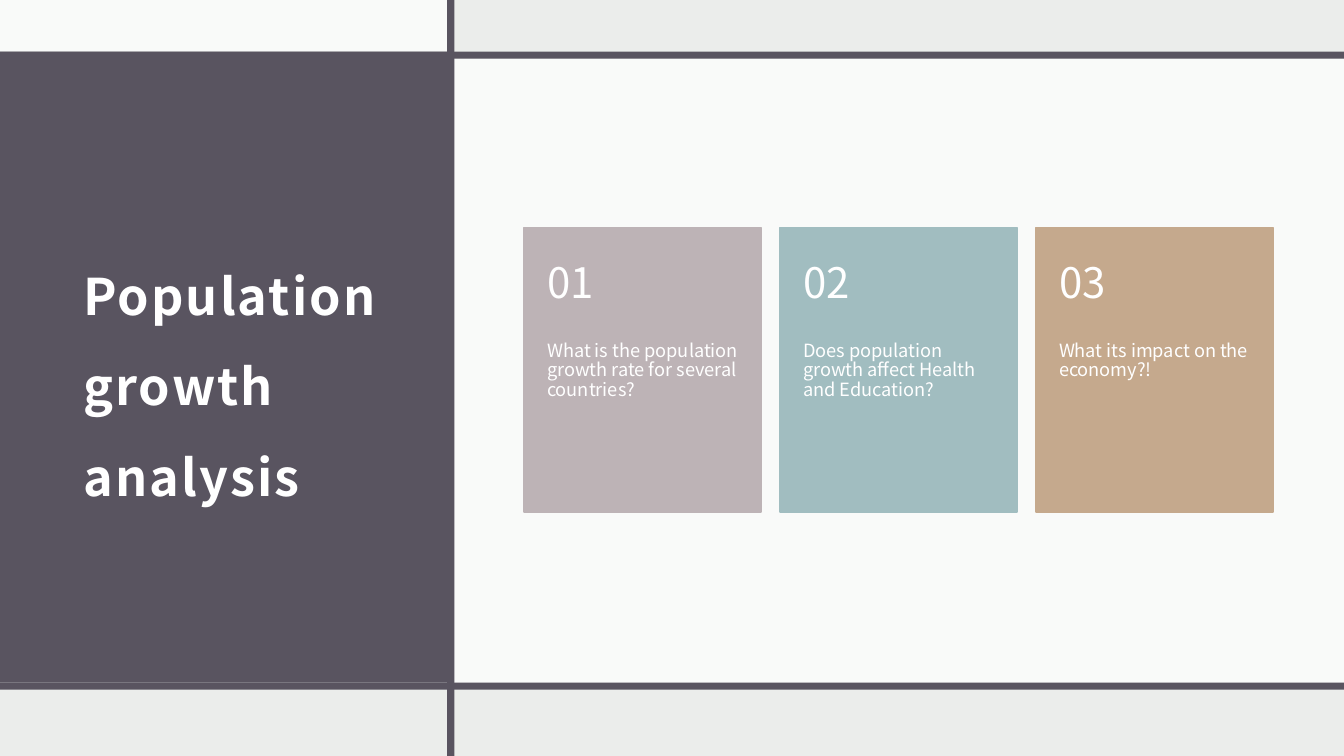
"""Build the population growth analysis agenda slide."""
from dataclasses import dataclass

from lxml import etree
from pptx import Presentation
from pptx.dml.color import RGBColor
from pptx.enum.shapes import MSO_SHAPE
from pptx.enum.text import MSO_ANCHOR, MSO_AUTO_SIZE, PP_ALIGN
from pptx.oxml.ns import qn
from pptx.util import Cm, Pt

RECTANGLE = MSO_SHAPE.RECTANGLE
TOP, MIDDLE = MSO_ANCHOR.TOP, MSO_ANCHOR.MIDDLE
LEFT = PP_ALIGN.LEFT
NO_AUTOFIT = MSO_AUTO_SIZE.NONE

TITLE = "Population growth analysis"
CARDS = [
    ("01", "What is the population growth rate for several countries?", "BDB3B6"),
    ("02", "Does population growth affect Health and Education?", "A1BDC0"),
    ("03", "What its impact on the economy?!", "C5A98D"),
]


@dataclass(frozen=True)
class Theme:
    """Colours, font and type sizes."""
    background: str = "EBEDEB"
    dark: str = "595460"
    white: str = "FFFFFF"
    font: str = "Noto Sans CJK JP"
    title_size: int = 36
    number_size: int = 30
    body_size: int = 13


THEME = Theme()
WIDTH, HEIGHT = 33.87, 19.05
BAR = 0.18
BAR_LEFT, BAR_TOP, BAR_BOTTOM = 11.27, 1.3, 17.2
TITLE_BOX = (1.8, 3.33, 8.66, 11.96)
TITLE_INSETS = (0.3, 0.3, 0.3, 0.25)
CARD_LEFT, CARD_TOP, CARD_WIDTH, CARD_HEIGHT = 13.21, 5.74, 5.97, 7.16
CARD_STEP = 6.45
NUMBER_HEIGHT = CARD_HEIGHT * 0.4
NUMBER_INSETS = (0.58, 0.46, 0.58, 0.46)
BODY_INSETS = (0.58, 0, 0.58, 0.91)


def add_block(shapes, area, color, opacity=100, outlined=False):
    """Add a flat rectangle, optionally translucent or outlined."""
    block = shapes.add_shape(RECTANGLE, *map(Cm, area))
    block.shadow.inherit = False
    block.fill.solid()
    block.fill.fore_color.rgb = RGBColor.from_string(color)
    if outlined:
        block.line.color.rgb = RGBColor.from_string(color)
        block.line.width = Pt(1)
    else:
        block.line.fill.background()
    if opacity < 100:
        fill_color = block.element.spPr.find(qn("a:solidFill"))[0]
        etree.SubElement(fill_color, qn("a:alpha")).set("val", str(opacity * 1000))


def write_text(box, text, size, insets, anchor, spacing, bold=False):
    """Fill a box with one formatted paragraph and return its run."""
    frame = box.text_frame
    frame.text = text
    frame.word_wrap = True
    frame.auto_size = NO_AUTOFIT
    frame.vertical_anchor = anchor
    frame.margin_left, frame.margin_top, frame.margin_right, frame.margin_bottom = map(Cm, insets)
    para = frame.paragraphs[0]
    para.alignment = LEFT
    para.line_spacing = spacing
    span = para.runs[0]
    span.font.name = THEME.font
    span.font.size = Pt(size)
    span.font.bold = bold
    span.font.color.rgb = RGBColor.from_string(THEME.white)
    return span


def add_frame(shapes):
    """Add the title panel, the pale areas and the dark bars."""
    right = BAR_LEFT + BAR
    under_bar = BAR_TOP + BAR
    add_block(shapes, (0, BAR_TOP, BAR_LEFT, BAR_BOTTOM - BAR_TOP), THEME.dark)
    add_block(shapes, (0, 0, BAR_LEFT, BAR_TOP), THEME.white, 75)
    add_block(shapes, (right, under_bar, WIDTH - right, BAR_BOTTOM - under_bar), THEME.white, 75)
    for top in (BAR_BOTTOM, BAR_TOP):
        add_block(shapes, (0, top, WIDTH, BAR), THEME.dark)
    add_block(shapes, (BAR_LEFT, 0, BAR, HEIGHT), THEME.dark)


def add_title(slide):
    """Place the title placeholder in front of its panel."""
    title = slide.shapes.title
    title.left, title.top, title.width, title.height = map(Cm, TITLE_BOX)
    span = write_text(title, TITLE, THEME.title_size, TITLE_INSETS, MIDDLE, 1.5, bold=True)
    span.font._element.set("spc", "150")
    title.element.getparent().append(title.element)


def add_cards(slide):
    """Add the numbered question cards as one group."""
    shapes = slide.shapes.add_group_shape().shapes
    for index, (number, question, color) in enumerate(CARDS):
        left = CARD_LEFT + index * CARD_STEP
        add_block(shapes, (left, CARD_TOP, CARD_WIDTH, CARD_HEIGHT), color, outlined=True)
        body_area = (left, CARD_TOP + NUMBER_HEIGHT, CARD_WIDTH, CARD_HEIGHT - NUMBER_HEIGHT)
        body = shapes.add_textbox(*map(Cm, body_area))
        write_text(body, question, THEME.body_size, BODY_INSETS, TOP, 0.9)
        heading = shapes.add_textbox(*map(Cm, (left, CARD_TOP, CARD_WIDTH, NUMBER_HEIGHT)))
        write_text(heading, number, THEME.number_size, NUMBER_INSETS, MIDDLE, 0.9)


def main():
    """Create and save the deck."""
    deck = Presentation()
    deck.slide_width, deck.slide_height = Cm(WIDTH), Cm(HEIGHT)
    page = deck.slides.add_slide(deck.slide_layouts[5])
    page.background.fill.solid()
    page.background.fill.fore_color.rgb = RGBColor.from_string(THEME.background)
    add_frame(page.shapes)
    add_title(page)
    add_cards(page)
    deck.save("out.pptx")


if __name__ == "__main__":
    main()
